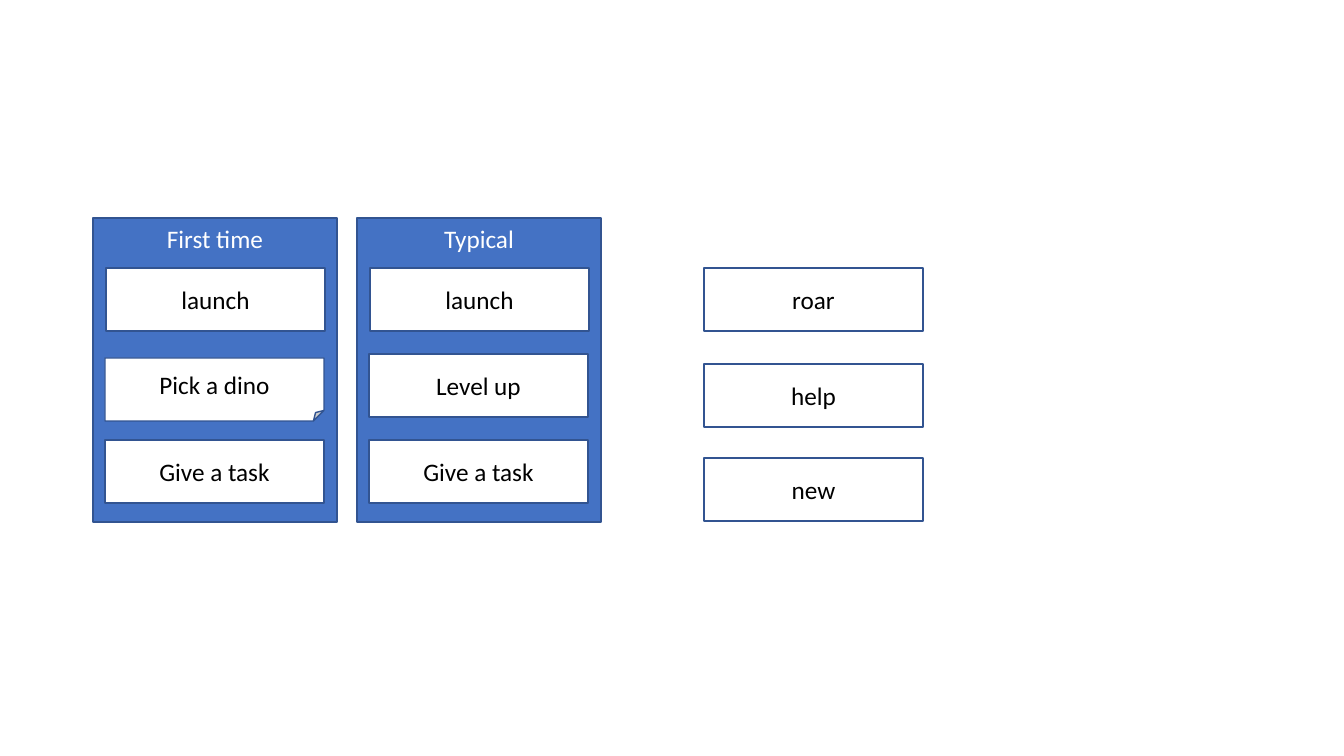
from dataclasses import dataclass

from pptx import Presentation
from pptx.dml.color import RGBColor
from pptx.enum.shapes import MSO_SHAPE
from pptx.enum.text import MSO_ANCHOR, PP_ALIGN
from pptx.util import Emu, Pt

SCALE = 914400 / 100.8


@dataclass(frozen=True)
class Theme:
    """Colours, font and sizes of the slide."""
    blue: RGBColor = RGBColor(0x44, 0x72, 0xC4)
    edge: RGBColor = RGBColor(0x32, 0x54, 0x91)
    white: RGBColor = RGBColor(0xFF, 0xFF, 0xFF)
    black: RGBColor = RGBColor(0, 0, 0)
    font: str = "Calibri"
    size: Pt = Pt(18)
    line: Pt = Pt(1)


@dataclass(frozen=True)
class Step:
    """A white card, placed in pixels from the left of its group."""
    text: str
    top: int
    left: int = 0
    kind: MSO_SHAPE = MSO_SHAPE.RECTANGLE


@dataclass(frozen=True)
class Flow:
    """A titled panel with its steps."""
    title: str
    left: int
    steps: tuple[Step, ...]


THEME = Theme()
TOP, PANEL_W, PANEL_H = 218, 244, 304
STEP_W, STEP_H, INSET = 219, 63, 12
FIRST, LAST = 268, 440
LAUNCH = Step("launch", FIRST, 1)
TASK = Step("Give a task", LAST)
FLOWS = (
    Flow("First time", 93,
         (LAUNCH, TASK, Step("Pick a dino", 358, kind=MSO_SHAPE.FOLDED_CORNER))),
    Flow("Typical", 357, (LAUNCH, TASK, Step("Level up", 354))),
)
EXTRA_X = 704
EXTRAS = (Step("roar", FIRST), Step("help", 364), Step("new", 458))


def px(count: int) -> Emu:
    """Turn pixels into EMU."""
    return Emu(round(count * SCALE))


def add_box(slide, kind: MSO_SHAPE, box: tuple[int, int, int, int], text: str,
            fill: RGBColor, ink: RGBColor, anchor: MSO_ANCHOR) -> None:
    """Draw one outlined shape with centred text."""
    shape = slide.shapes.add_shape(kind, *map(px, box))
    shape.shadow.inherit = False
    shape.fill.solid()
    shape.fill.fore_color.rgb = fill
    shape.line.color.rgb = THEME.edge
    shape.line.width = THEME.line
    frame = shape.text_frame
    frame.text = text
    frame.word_wrap = True
    frame.vertical_anchor = anchor
    para = frame.paragraphs[0]
    para.alignment = PP_ALIGN.CENTER
    font = para.runs[0].font
    font.name, font.size = THEME.font, THEME.size
    font.color.rgb = ink


def add_steps(slide, left: int, steps: tuple[Step, ...]) -> None:
    """Draw a column of white cards."""
    for step in steps:
        add_box(slide, step.kind, (left + step.left, step.top, STEP_W, STEP_H),
                step.text, THEME.white, THEME.black, MSO_ANCHOR.MIDDLE)


def add_flow(slide, flow: Flow) -> None:
    """Draw a blue panel and the cards on it."""
    add_box(slide, MSO_SHAPE.RECTANGLE, (flow.left, TOP, PANEL_W, PANEL_H),
            flow.title, THEME.blue, THEME.white, MSO_ANCHOR.TOP)
    add_steps(slide, flow.left + INSET, flow.steps)


def main() -> None:
    """Build and save the slide."""
    deck = Presentation()
    deck.slide_width, deck.slide_height = px(1344), px(756)
    slide = deck.slides.add_slide(deck.slide_layouts[6])
    for flow in FLOWS:
        add_flow(slide, flow)
    add_steps(slide, EXTRA_X, EXTRAS)
    deck.save("out.pptx")


main()
